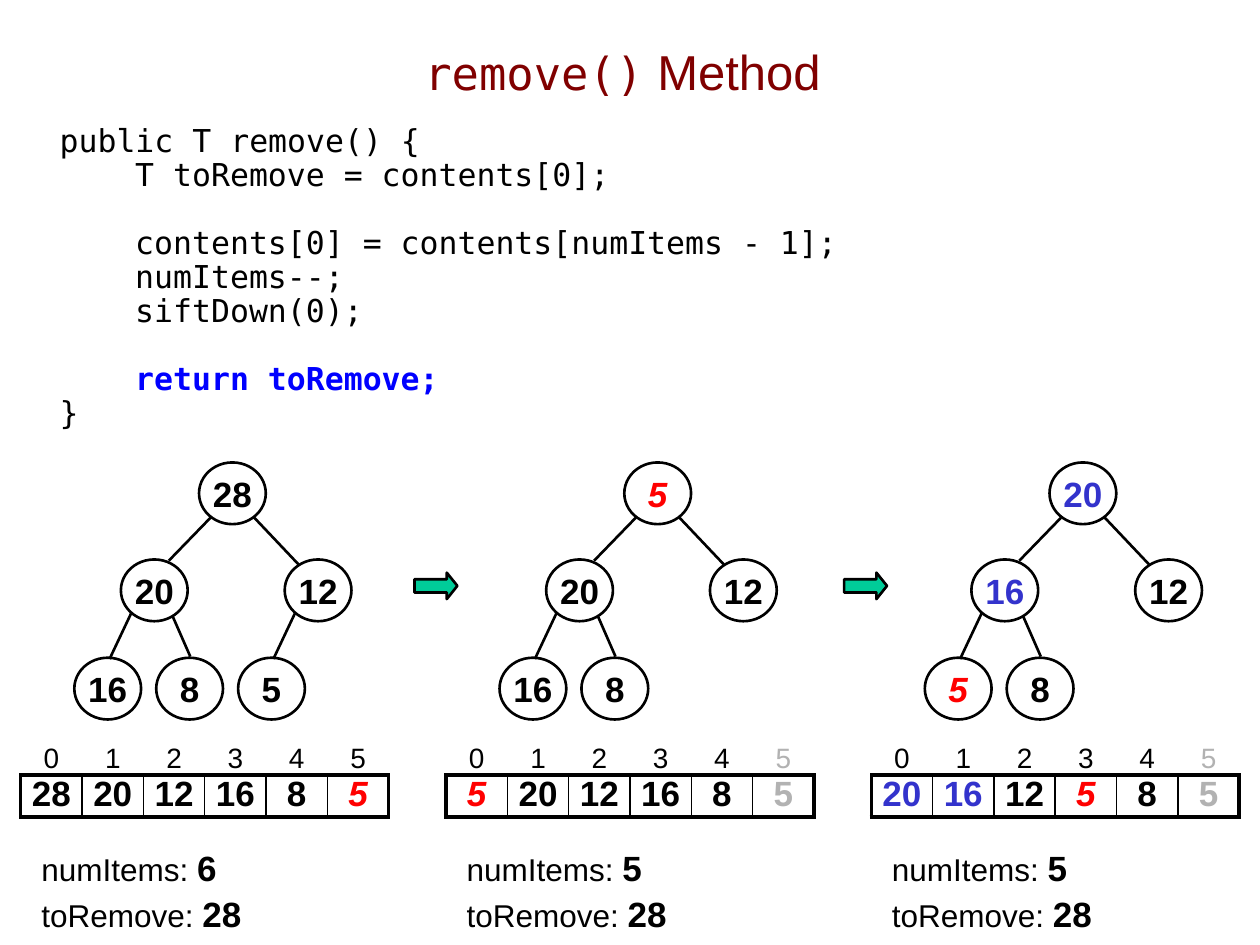
import pptx
import pptx.util
import pptx.dml.color
import pptx.enum.shapes
import pptx.enum.text
import pptx.oxml
import pptx.oxml.ns
import lxml.etree

UNIT = 0.1
STEP = 33.75
MONO, SANS = "DejaVu Sans Mono", "Arial"
BLACK, RED, BLUE, GRAY = "000000", "FF0000", "3333CC", "B2B2B2"
TONES = {"k": BLACK, "r": RED, "b": BLUE, "g": GRAY}
MID = pptx.enum.text.PP_ALIGN.CENTER
ANCHOR = pptx.enum.text.MSO_ANCHOR
KINDS = pptx.enum.shapes.MSO_SHAPE

NODES = [(15.8, 36.7), (9.6, 44.4), (22.6, 44.4), (5.9, 52.2), (12.4, 52.2), (18.9, 52.2)]
EDGES = [
    (16.7, 41.1, 13.4, 44.5),
    (20.1, 41, 23.7, 44.8),
    (10.4, 48.7, 8.7, 52.3),
    (13.7, 48.9, 15.1, 52.1),
    (23.4, 48.7, 21.7, 52.3),
]
STATES = [
    ([28, 20, 12, 16, 8, 5], "kkkkkk", "kkkkkr", 6),
    ([5, 20, 12, 16, 8, 5], "rkkkk", "rkkkkg", 5),
    ([20, 16, 12, 5, 8, 5], "bbkrk", "bbkrkg", 5),
]
CODE = [
    ("public T remove() {", 0, 0),
    ("T toRemove = contents[0];", 1, 0),
    ("contents[0] = contents[numItems - 1];", 1, 1),
    ("numItems--;", 1, 0),
    ("siftDown(0);", 1, 0),
    ("return toRemove;", 1, 1),
    ("}", 0, 0),
]


def grid(*cells):
    return [pptx.util.Inches(c * UNIT) for c in cells]


def hue(code):
    return pptx.dml.color.RGBColor.from_string(code)


def say(par, text, size=20, font=SANS, color=BLACK, bold=False, slant=False):
    run = par.add_run()
    run.text = text
    face = run.font
    face.size, face.name = pptx.util.Pt(size), font
    face.bold, face.italic = bold, slant
    face.color.rgb = hue(color)


def inset(box, left=0, top=0, right=0, low=0):
    box.margin_left, box.margin_top, box.margin_right, box.margin_bottom = grid(left, top, right, low)


def frame(slide, *area):
    box = slide.shapes.add_textbox(*grid(*area)).text_frame
    box.word_wrap = True
    inset(box, 1, 0.5, 1, 0.5)
    return box


def shape(slide, kind, area, fill=None):
    item = slide.shapes.add_shape(kind, *grid(*area))
    item.shadow.inherit = False
    if fill:
        item.fill.solid()
        item.fill.fore_color.rgb = hue(fill)
    else:
        item.fill.background()
    item.line.color.rgb = hue(BLACK)
    item.line.width = pptx.util.Pt(1.5)
    return item


def node(slide, x, y, text, tone):
    box = shape(slide, KINDS.OVAL, (x, y, 5.3, 4.9)).text_frame
    inset(box)
    box.word_wrap = False
    box.vertical_anchor = ANCHOR.MIDDLE
    par = box.paragraphs[0]
    par.alignment = MID
    say(par, text, color=TONES[tone], bold=True, slant=tone == "r")


def edge(slide, *ends):
    link = slide.shapes.add_connector(pptx.enum.shapes.MSO_CONNECTOR.STRAIGHT, *grid(*ends))
    link.line.color.rgb = hue(BLACK)
    link.line.width = pptx.util.Pt(1.5)
    lxml.etree.SubElement(link._element.spPr, pptx.oxml.ns.qn("a:effectLst"))


def rule(cell, **sides):
    props = cell._tc.get_or_add_tcPr()
    spot = 0
    for side in "LRTB":
        if side in sides:
            width = pptx.util.Pt(sides[side])
            props.insert(spot, pptx.oxml.parse_xml(
                f'<a:ln{side} {pptx.oxml.ns.nsdecls("a")} w="{width}"><a:solidFill>'
                f'<a:srgbClr val="{BLACK}"/></a:solidFill></a:ln{side}>'))
            spot += 1


def entry(cell, text, **form):
    cell.fill.background()
    par = cell.text_frame.paragraphs[0]
    par.alignment = MID
    say(par, text, **form)


def array(slide, x, items, tones):
    count = len(items)
    table = slide.shapes.add_table(2, count, *grid(x, 58.3, 29.2, 6.5)).table
    table.first_row = table.horz_banding = False
    table.rows[0].height, table.rows[1].height = grid(3.2, 3.3)
    for i, (item, tone) in enumerate(zip(items, tones)):
        head, cell = table.cell(0, i), table.cell(1, i)
        inset(head, 1, 0.5, 1, 0)
        inset(cell)
        head.vertical_anchor = ANCHOR.BOTTOM
        entry(head, str(i), size=16, color=GRAY if tone == "g" else BLACK)
        entry(cell, str(item), color=TONES[tone], bold=True, slant=tone == "r")
        rule(head, B=2.25)
        rule(cell, L=1 if i else 2.25, R=1 if i < count - 1 else 2.25, T=2.25, B=2.25)


def stats(slide, x, count):
    box = frame(slide, x, 66.7, 22, 7.7)
    first, last = box.paragraphs[0], box.add_paragraph()
    last.space_before = pptx.util.Pt(2)
    for par, name, value in ((first, "numItems: ", count), (last, "toRemove: ", 28)):
        say(par, name, size=18)
        say(par, str(value), bold=True)


def title(slide):
    box = frame(slide, 6.4, 1, 86, 9.3)
    box.vertical_anchor = ANCHOR.MIDDLE
    par = box.paragraphs[0]
    par.alignment = MID
    say(par, "remove()", size=26, font=MONO, color="800000")
    say(par, " Method", size=28, color="800000")


def code(slide):
    box = frame(slide, 3.75, 9.45, 96.25, 26)
    for i, (text, depth, gap) in enumerate(CODE):
        par = box.add_paragraph() if i else box.paragraphs[0]
        par.line_spacing = 0.9
        par.space_before = pptx.util.Pt(19.4 * gap)
        par._p.get_or_add_pPr().set("marL", str(grid(6 * depth)[0]))
        key = text.startswith("return")
        say(par, text, size=18, font=MONO, color="0000FF" if key else BLACK, bold=key)


def heap(slide, shift, items, tones):
    for (x, y), item, tone in zip(NODES, items, tones):
        node(slide, x + shift, y, str(item), tone)
    for x, y, end, low in EDGES[:len(tones) - 1]:
        edge(slide, x + shift, y, end + shift, low)


def main():
    deck = pptx.Presentation()
    deck.slide_width, deck.slide_height = grid(100, 75)
    slide = deck.slides.add_slide(deck.slide_layouts[6])
    title(slide)
    code(slide)
    for i, (items, tree, cells, count) in enumerate(STATES):
        shift = i * STEP
        array(slide, 1.65 + shift, items, cells)
        stats(slide, 2.3 + shift, count)
        heap(slide, shift, items, tree)
    for x in (32.9, 67):
        arrow = shape(slide, KINDS.RIGHT_ARROW, (x, 45.45, 3.4, 2.1), "00CC99")
        arrow.adjustments[1] = 0.4
    deck.save("out.pptx")


if __name__ == "__main__":
    main()
